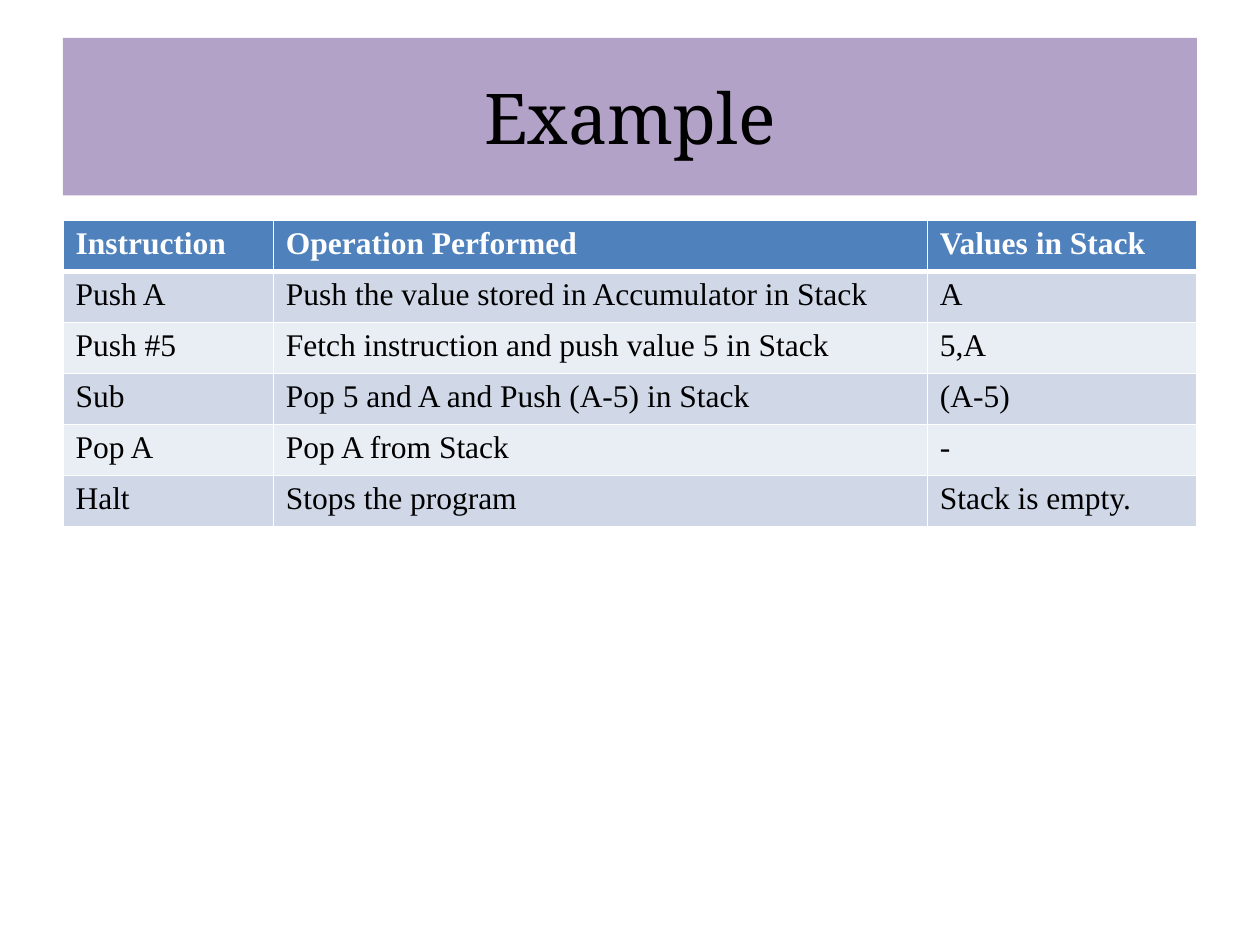
"""Build a slide that traces a stack program in a table."""
import dataclasses
import typing

import lxml.etree
import pptx
import pptx.dml.color
import pptx.enum.shapes
import pptx.enum.text
import pptx.oxml.ns
import pptx.util

Inches = pptx.util.Inches
Pt = pptx.util.Pt


@dataclasses.dataclass(frozen=True)
class Theme:
    title_fill: str = "B3A2C7"
    header_fill: str = "4F81BD"
    bands: tuple[str, str] = ("D0D8E8", "E9EDF4")
    dark: str = "000000"
    light: str = "FFFFFF"
    title_font: str = "Noto Serif"
    body_font: str = "Times New Roman"
    title_size: int = 40
    body_size: int = 18
    thin: int = 1
    thick: int = 3


class Step(typing.NamedTuple):
    instruction: str
    operation: str
    stack: str


THEME = Theme()
LEFT, WIDTH = 0.5, 9
COLUMNS = (1.67, 5.19, 2.14)
TABLE_TOP, TABLE_HEIGHT = 1.75, 2.43
STEPS = (
    Step("Instruction", "Operation Performed", "Values in Stack"),
    Step("Push A", "Push the value stored in Accumulator in Stack", "A"),
    Step("Push #5", "Fetch instruction and push value 5 in Stack", "5,A"),
    Step("Sub", "Pop 5 and A and Push (A-5) in Stack", "(A-5)"),
    Step("Pop A", "Pop A from Stack", "-"),
    Step("Halt", "Stops the program", "Stack is empty."),
)


def rgb(value: str) -> pptx.dml.color.RGBColor:
    return pptx.dml.color.RGBColor.from_string(value)


def write(tf, text: str, *, font: str = THEME.body_font, size: int = THEME.body_size,
          color: str = THEME.dark, bold: bool = False,
          align=pptx.enum.text.PP_ALIGN.LEFT) -> None:
    p = tf.paragraphs[0]
    p.alignment = align
    r = p.add_run()
    r.text = text
    r.font.name = font
    r.font.size = Pt(size)
    r.font.bold = bold
    r.font.color.rgb = rgb(color)


def set_borders(cell, top: int, bottom: int) -> None:
    qn = pptx.oxml.ns.qn
    tc_pr = cell._tc.get_or_add_tcPr()
    widths = {"lnL": THEME.thin, "lnR": THEME.thin, "lnT": top, "lnB": bottom}
    for side, width in widths.items():
        ln = lxml.etree.SubElement(tc_pr, qn(f"a:{side}"), w=str(Pt(width)))
        fill = lxml.etree.SubElement(ln, qn("a:solidFill"))
        lxml.etree.SubElement(fill, qn("a:srgbClr"), val=THEME.light)


def add_title(s, text: str) -> None:
    sp = s.shapes.add_shape(pptx.enum.shapes.MSO_SHAPE.RECTANGLE,
                            Inches(LEFT), Inches(0.3), Inches(WIDTH), Inches(1.25))
    sp.shadow.inherit = False
    sp.fill.solid()
    sp.fill.fore_color.rgb = rgb(THEME.title_fill)
    sp.line.fill.background()
    tf = sp.text_frame
    tf.word_wrap = True
    tf.vertical_anchor = pptx.enum.text.MSO_ANCHOR.MIDDLE
    write(tf, text, font=THEME.title_font, size=THEME.title_size,
          align=pptx.enum.text.PP_ALIGN.CENTER)


def add_steps(s, steps: tuple[Step, ...]) -> None:
    table = s.shapes.add_table(len(steps), len(COLUMNS), Inches(LEFT), Inches(TABLE_TOP),
                               Inches(WIDTH), Inches(TABLE_HEIGHT)).table
    for column, width in zip(table.columns, COLUMNS):
        column.width = Inches(width)
    for i, step in enumerate(steps):
        header = i == 0
        fill = THEME.header_fill if header else THEME.bands[(i - 1) % 2]
        for j, text in enumerate(step):
            cell = table.cell(i, j)
            set_borders(cell, top=THEME.thick if i == 1 else THEME.thin,
                        bottom=THEME.thick if header else THEME.thin)
            cell.fill.solid()
            cell.fill.fore_color.rgb = rgb(fill)
            write(cell.text_frame, text, bold=header,
                  color=THEME.light if header else THEME.dark)


def main() -> None:
    prs = pptx.Presentation()
    prs.slide_width, prs.slide_height = Inches(10), Inches(7.5)
    s = prs.slides.add_slide(prs.slide_layouts[6])
    add_title(s, "Example")
    add_steps(s, STEPS)
    prs.save("out.pptx")


main()
